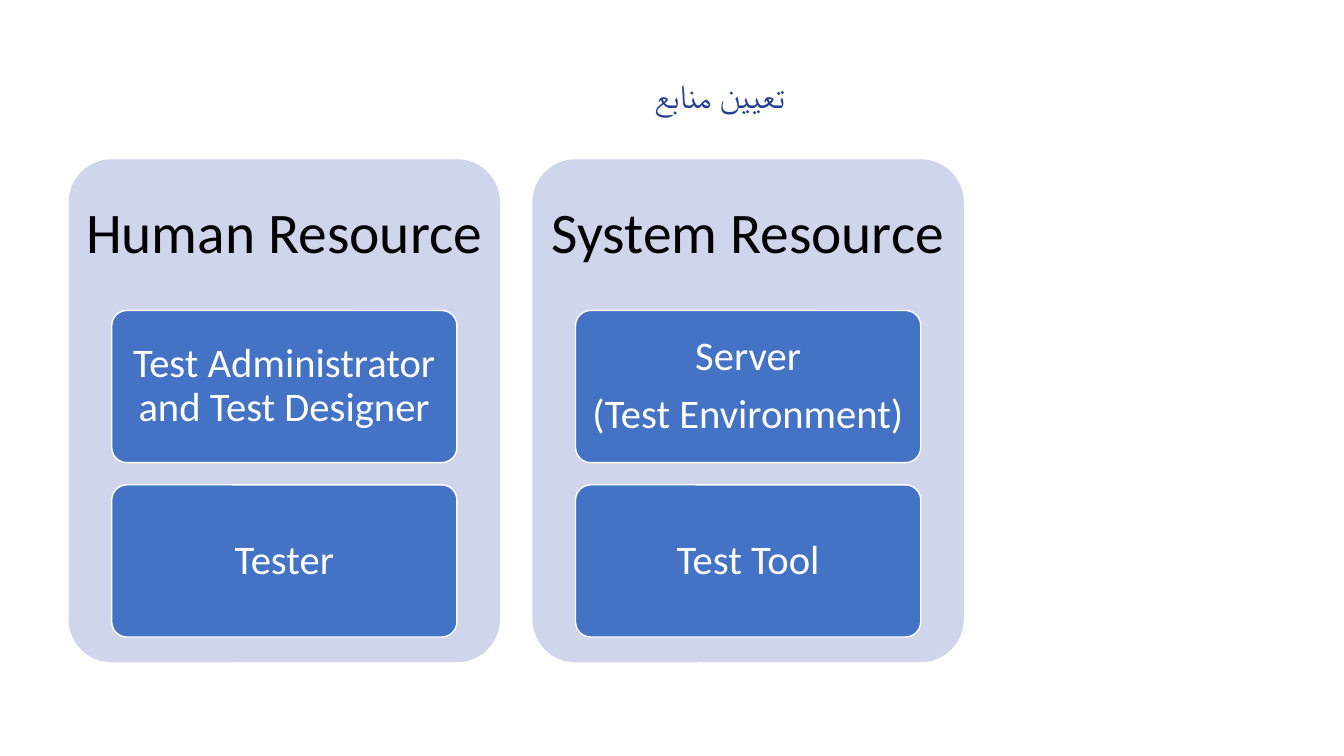
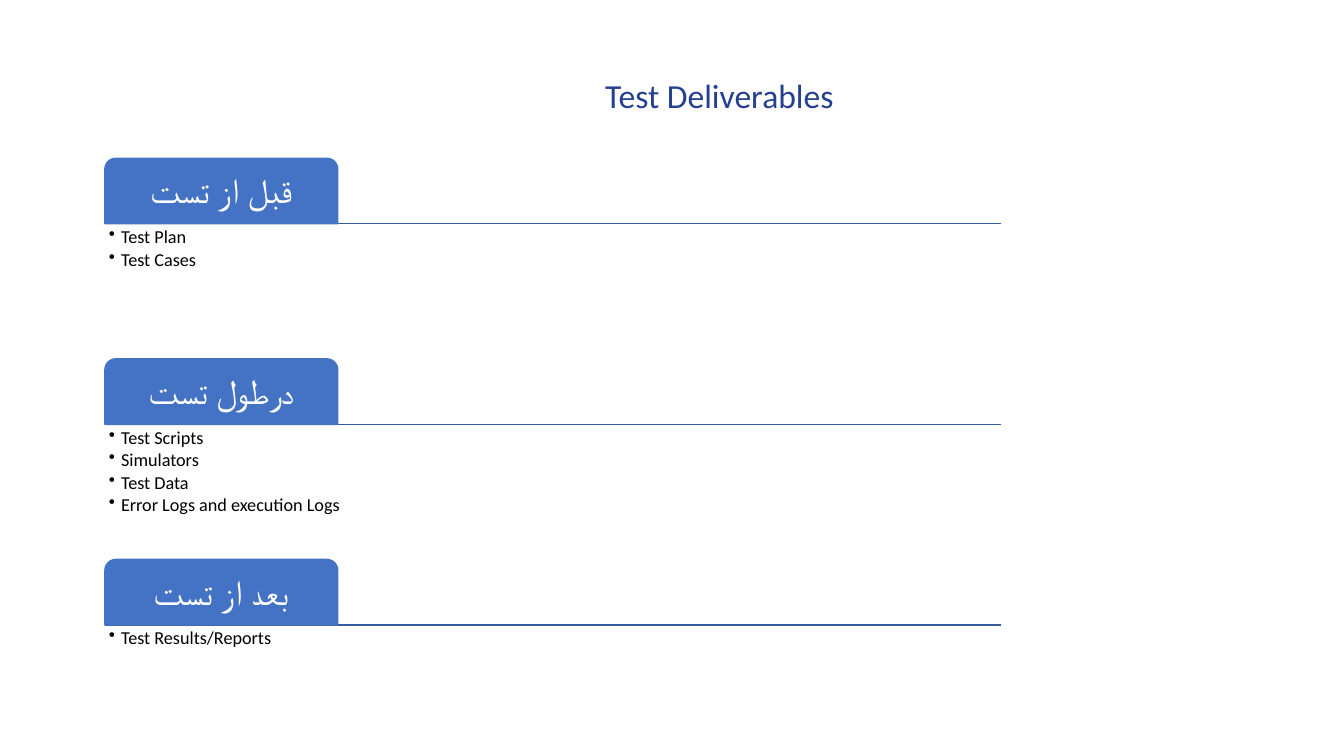
from lxml.etree import SubElement
from pptx import Presentation
from pptx.dml.color import RGBColor
from pptx.enum.shapes import MSO_CONNECTOR as Connector, MSO_SHAPE as Preset
from pptx.enum.text import MSO_ANCHOR as Anchor, PP_ALIGN as Align
from pptx.oxml.ns import qn
from pptx.util import Inches, Pt

COLORS = {"title": "254090", "panel": "CFD5EA", "accent": "4472C4",
          "rule": "365B9D", "white": "FFFFFF", "black": "000000"}
FONT = "Calibri"

RESOURCES_TITLE = "تعیین منابع"
RESOURCES = [
    ("Human Resource", [["Test Administrator and Test Designer"], ["Tester"]]),
    ("System Resource", [["Server", "(Test Environment)"], ["Test Tool"]]),
]
DELIVERABLES_TITLE = "Test Deliverables"
DELIVERABLES = [
    ("قبل از تست", ["Test Plan", "Test Cases"]),
    ("درطول تست", ["Test Scripts", "Simulators", "Test Data",
                    "Error Logs and execution Logs"]),
    ("بعد از تست", ["Test Results/Reports"]),
]

TITLE_BOX = (3.39, 0.65, 7.49, 0.55)
PANEL = {"left": 0.68, "top": 1.58, "width": 4.28, "height": 4.99, "pitch": 4.6}
CARD = {"top": 1.5, "width": 0.8, "height": 1.51, "pitch": 1.73}
PHASE = {"left": 1.04, "top": 1.57, "width": 8.89, "pitch": 1.99}
TAB = {"width": 2.31, "height": 0.65}
LIST_HEIGHT = 1.3
BULLET_INDENT = 0.12


def rgb(name):
    return RGBColor.from_string(COLORS[name])


def write(shape, lines, size, color, insets=(0.1, 0.05), anchor=Anchor.MIDDLE,
          align=Align.CENTER, after=0.35, bullet=False):
    frame = shape.text_frame
    horizontal, vertical = (Inches(inset) for inset in insets)
    settings = {"word_wrap": True, "vertical_anchor": anchor,
                "margin_left": horizontal, "margin_right": horizontal,
                "margin_top": vertical, "margin_bottom": vertical}
    for name, value in settings.items():
        setattr(frame, name, value)
    for index, line in enumerate(lines):
        paragraph = frame.add_paragraph() if index else frame.paragraphs[0]
        spacing = {"alignment": align, "line_spacing": 0.9,
                   "space_after": Pt(round(size * after))}
        for name, value in spacing.items():
            setattr(paragraph, name, value)
        run = paragraph.add_run()
        run.text = line
        for name, value in {"name": FONT, "size": Pt(size)}.items():
            setattr(run.font, name, value)
        run.font.color.rgb = rgb(color)
        if bullet:
            properties = paragraph._p.get_or_add_pPr()
            properties.set("marL", str(Inches(BULLET_INDENT)))
            properties.set("indent", str(-Inches(BULLET_INDENT)))
            SubElement(properties, qn("a:buChar")).set("char", "•")


def add_text(slide, box, lines, size, color, **options):
    shape = slide.shapes.add_textbox(*map(Inches, box))
    write(shape, lines, size, color, **options)


def add_block(slide, preset, box, fill, line=None, adjustments=(0.1,)):
    shape = slide.shapes.add_shape(preset, *map(Inches, box))
    shape.shadow.inherit = False
    shape.fill.solid()
    shape.fill.fore_color.rgb = rgb(fill)
    for index, value in enumerate(adjustments):
        shape.adjustments[index] = value
    if line:
        shape.line.color.rgb = rgb(line)
        shape.line.width = Pt(1)
    else:
        shape.line.fill.background()
    return shape


def add_rule(slide, left, top, width):
    rule = slide.shapes.add_connector(
        Connector.STRAIGHT, *map(Inches, (left, top, left + width, top)))
    rule.line.color.rgb = rgb("rule")
    rule.line.width = Pt(1)
    SubElement(rule._element.spPr, qn("a:effectLst"))


def add_titled_slide(presentation, title):
    slide = presentation.slides.add_slide(presentation.slide_layouts[6])
    add_text(slide, TITLE_BOX, [title], 24, "title", anchor=Anchor.BOTTOM, after=0)
    return slide


def build_resources(presentation):
    slide = add_titled_slide(presentation, RESOURCES_TITLE)
    top, width = PANEL["top"], PANEL["width"]
    card_width = width * CARD["width"]
    for column, (heading, cards) in enumerate(RESOURCES):
        left = PANEL["left"] + column * PANEL["pitch"]
        add_block(slide, Preset.ROUNDED_RECTANGLE,
                  (left, top, width, PANEL["height"]), "panel")
        add_text(slide, (left, top, width, CARD["top"]), [heading], 41, "black",
                 insets=(0.17, 0.17))
        for row, lines in enumerate(cards):
            box = (left + (width - card_width) / 2,
                   top + CARD["top"] + row * CARD["pitch"],
                   card_width, CARD["height"])
            card = add_block(slide, Preset.ROUNDED_RECTANGLE, box, "accent", "white")
            write(card, lines, 29, "white", insets=(0.08, 0.06))


def build_deliverables(presentation):
    slide = add_titled_slide(presentation, DELIVERABLES_TITLE)
    left, width = PHASE["left"], PHASE["width"]
    for row, (phase, items) in enumerate(DELIVERABLES):
        top = PHASE["top"] + row * PHASE["pitch"]
        base = top + TAB["height"]
        add_rule(slide, left, base, width)
        tab = add_block(slide, Preset.ROUND_2_SAME_RECTANGLE,
                        (left, top, TAB["width"], TAB["height"]),
                        "accent", "accent", (0.167, 0))
        write(tab, [phase], 25, "white", insets=(0.05, 0.05))
        add_text(slide, (left, base, width, LIST_HEIGHT), items, 13, "black",
                 insets=(0.04, 0.04), anchor=Anchor.TOP, align=Align.LEFT,
                 after=0.15, bullet=True)


def main():
    presentation = Presentation()
    presentation.slide_width = Inches(13.33)
    presentation.slide_height = Inches(7.5)
    build_resources(presentation)
    build_deliverables(presentation)
    presentation.save("out.pptx")


if __name__ == "__main__":
    main()
